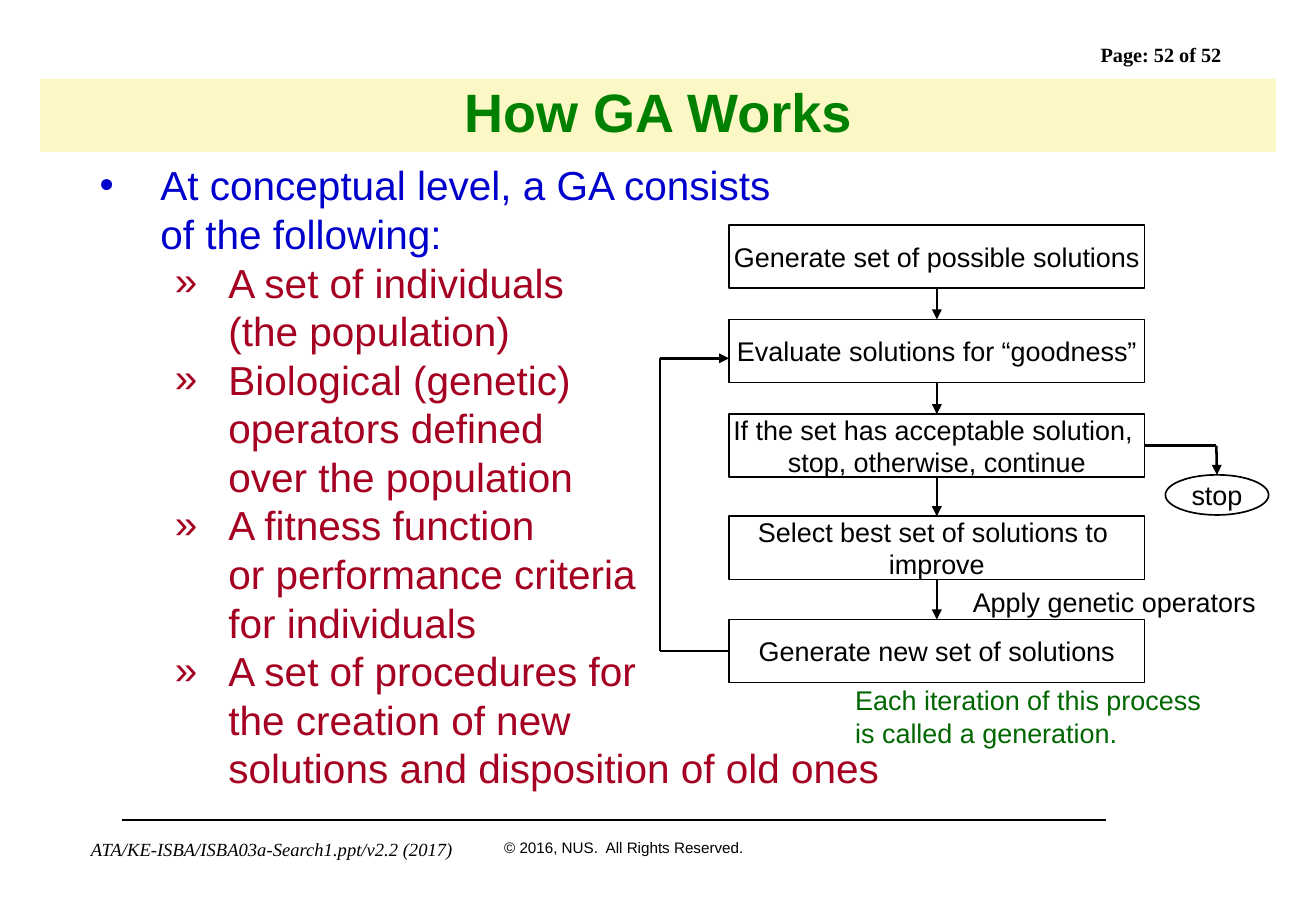
from dataclasses import dataclass

from lxml import etree
from pptx import Presentation
from pptx.dml.color import RGBColor
from pptx.enum.shapes import MSO_CONNECTOR, MSO_SHAPE
from pptx.enum.text import MSO_ANCHOR, MSO_AUTO_SIZE, PP_ALIGN
from pptx.oxml.ns import qn
from pptx.util import Inches, Pt

RECT, OVAL = MSO_SHAPE.RECTANGLE, MSO_SHAPE.OVAL
LINE = MSO_CONNECTOR.STRAIGHT
LEFT, MID = PP_ALIGN.LEFT, PP_ALIGN.CENTER
CENTER, TOP = MSO_ANCHOR.MIDDLE, MSO_ANCHOR.TOP
FIXED = MSO_AUTO_SIZE.NONE
COLORS = {"ink": "000000", "paper": "FFFFFF", "band": "FBF8C5", "title": "008000",
          "lead": "0000CC", "item": "A50021", "note": "006600"}


@dataclass
class Label:
    text: str
    box: tuple
    size: float
    font: str = "Arial"
    color: str = "ink"
    align: PP_ALIGN = LEFT
    bold: bool = False
    slant: bool = False
    wrap: bool = True


@dataclass
class Node:
    text: str
    box: tuple
    kind: MSO_SHAPE = RECT


@dataclass
class Point:
    text: str
    level: int = 1


LABELS = [
    Label("Page: 52 of 52", (8.96, 0.3, 1.44, 0.3), 12, "Times New Roman", bold=True),
    Label("ATA/KE-ISBA/ISBA03a-Search1.ppt/v2.2 (2017)", (0.65, 6.85, 3.22, 0.28), 11,
          "Times New Roman", slant=True, wrap=False),
    Label("© 2016, NUS.  All Rights Reserved.", (4.05, 6.85, 2.19, 0.25), 9, wrap=False),
    Label("Apply genetic operators", (7.89, 4.77, 2.56, 0.37), 16, align=MID),
    Label("Each iteration of this process is called a generation.",
          (6.94, 5.58, 3.17, 0.64), 16, color="note"),
]
STEPS = [
    (1.85, "Generate set of possible solutions"),
    (2.63, "Evaluate solutions for “goodness”"),
    (3.41, "If the set has acceptable solution, \nstop, otherwise, continue"),
    (4.25, "Select best set of solutions to \nimprove"),
    (5.1, "Generate new set of solutions"),
]
POINTS = [
    Point("At conceptual level, a GA consists\vof the following:", 0),
    Point("A set of individuals\v(the population)"),
    Point("Biological (genetic)\voperators defined\vover the population"),
    Point("A fitness function\vor performance criteria\vfor individuals"),
    Point("A set of procedures for\vthe creation of new\v"
          "solutions and disposition of old ones"),
]
# Left margin, hanging indent, bullet and colour of each list level
LEVELS = [(0.5, -0.5, "•", "lead"), (1.06, -0.44, "»", "item")]


def rgb(name: str) -> RGBColor:
    return RGBColor.from_string(COLORS[name])


def place(shape, box: tuple) -> None:
    shape.left, shape.top, shape.width, shape.height = map(Inches, box)


def style(para, size: float, color: str, font: str = "Arial",
          bold: bool = False, slant: bool = False) -> None:
    face = para.font
    face.name, face.size, face.bold, face.italic = font, Pt(size), bold, slant
    face.color.rgb = rgb(color)


def add_label(slide, label: Label) -> None:
    frame = slide.shapes.add_textbox(*map(Inches, label.box)).text_frame
    frame.word_wrap = label.wrap
    frame.text = label.text
    para = frame.paragraphs[0]
    para.alignment = label.align
    style(para, label.size, label.color, label.font, label.bold, label.slant)


def add_node(slide, node: Node):
    shape = slide.shapes.add_shape(node.kind, *map(Inches, node.box))
    shape.shadow.inherit = False
    shape.fill.solid()
    shape.fill.fore_color.rgb = rgb("paper")
    shape.line.color.rgb = rgb("ink")
    shape.line.width = Pt(1)
    frame = shape.text_frame
    frame.word_wrap = False
    frame.vertical_anchor = CENTER
    frame.text = node.text
    for para in frame.paragraphs:
        para.alignment = MID
        style(para, 16, "ink")
    return shape


def add_line(slide, start: tuple, end: tuple, width: float = 1.5, arrow: bool = False):
    line = slide.shapes.add_connector(LINE, *map(Inches, start + end))
    line.line.color.rgb = rgb("ink")
    line.line.width = Pt(width)
    if arrow:
        etree.SubElement(line.line._get_or_add_ln(), qn("a:tailEnd"), type="triangle")
    etree.SubElement(line._element.spPr, qn("a:effectLst"))
    return line


def add_point(para, point: Point) -> None:
    margin, indent, mark, color = LEVELS[point.level]
    para.text = point.text
    para.level = point.level
    para.alignment = LEFT
    para.line_spacing = 1.0
    para.space_before = Pt(0)
    props = para._p.get_or_add_pPr()
    props.set("marL", str(Inches(margin)))
    props.set("indent", str(Inches(indent)))
    etree.SubElement(props, qn("a:buFont"), typeface="Arial")
    etree.SubElement(props, qn("a:buChar"), char=mark)
    style(para, 24, color)


def add_flow(slide) -> None:
    nodes = [add_node(slide, Node(text, (6, top, 3.42, 0.52))) for top, text in STEPS]
    stop = add_node(slide, Node("stop", (9.59, 3.91, 0.85, 0.33), OVAL))

    # Arrows from step to step
    for upper, lower in zip(nodes, nodes[1:]):
        line = add_line(slide, (7.71, 2), (7.71, 3), arrow=True)
        line.begin_connect(upper, 2)
        line.end_connect(lower, 0)

    # Loop back to the second step
    foot, head = (5.43, 5.36), (5.43, 2.95)
    add_line(slide, (6, 5.36), foot).begin_connect(nodes[4], 1)
    add_line(slide, foot, head)
    add_line(slide, head, (6, 2.95), arrow=True)

    # Way out to the stop
    turn = (10.01, 3.67)
    add_line(slide, (9.42, 3.67), turn).begin_connect(nodes[2], 3)
    add_line(slide, turn, (10.01, 3.91), arrow=True).end_connect(stop, 0)


def main() -> None:
    deck = Presentation()
    deck.slide_width, deck.slide_height = Inches(10.83), Inches(7.5)
    slide = deck.slides.add_slide(deck.slide_layouts[1])

    # Title band
    title = slide.shapes.title
    place(title, (0.33, 0.65, 10.17, 0.6))
    title.fill.solid()
    title.fill.fore_color.rgb = rgb("band")
    title.text_frame.text = "How GA Works"
    title.text_frame.auto_size = FIXED
    title.text_frame.vertical_anchor = CENTER
    para = title.text_frame.paragraphs[0]
    para.alignment = MID
    para.line_spacing = 0.9
    style(para, 32, "title", bold=True)

    # List
    body = slide.placeholders[1]
    place(body, (0.72, 1.27, 9.39, 5.34))
    frame = body.text_frame
    frame.auto_size = FIXED
    frame.vertical_anchor = TOP
    for index, point in enumerate(POINTS):
        add_point(frame.add_paragraph() if index else frame.paragraphs[0], point)

    # Flow chart, footer rule and labels
    add_flow(slide)
    add_line(slide, (1, 6.75), (9.1, 6.75), width=1)
    for label in LABELS:
        add_label(slide, label)
    deck.save("out.pptx")


if __name__ == "__main__":
    main()
